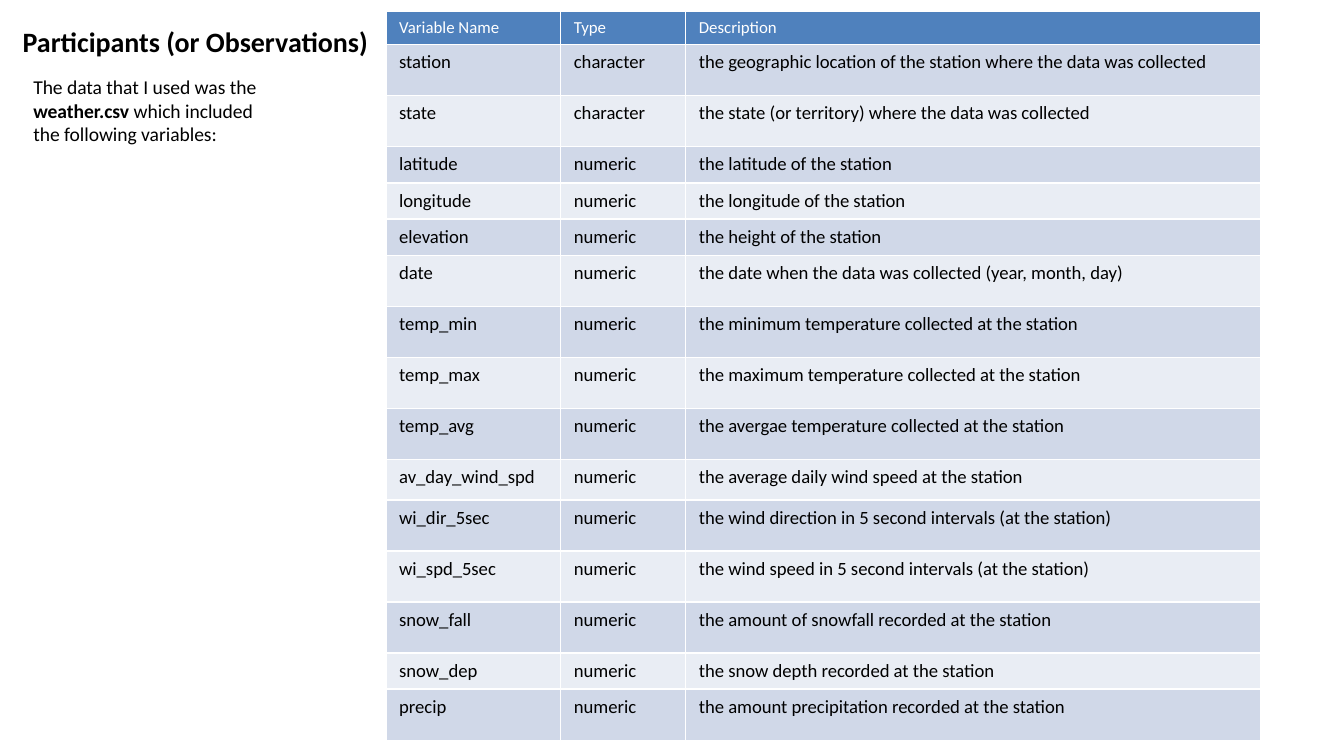
from dataclasses import dataclass

import pptx
import pptx.dml.color
import pptx.enum.text
import pptx.presentation
import pptx.slide
import pptx.table
import pptx.text.text
import pptx.util

Inches = pptx.util.Inches

COLORS = {
    "header": "4F81BD",
    "odd": "D0D8E8",
    "even": "E9EDF4",
    "light": "FFFFFF",
    "dark": "000000",
}
PAGE_WIDTH = Inches(10)
PAGE_HEIGHT = PAGE_WIDTH * 9 // 16
COLUMN_WIDTHS = (1.3, 0.93, 4.28)
HEADER_HEIGHT, TALL, MEDIUM, SHORT = 0.24, 0.38, 0.3, 0.27


@dataclass(frozen=True)
class Variable:
    name: str
    kind: str
    description: str
    height: float = TALL


@dataclass(frozen=True)
class TextBlock:
    left: float
    top: float
    width: float
    height: float
    size: float
    anchor: pptx.enum.text.MSO_ANCHOR
    spans: tuple[tuple[str, bool], ...]


HEADER = Variable("Variable Name", "Type", "Description", HEADER_HEIGHT)
VARIABLES = (
    Variable("station", "character", "the geographic location of the station where the data was collected"),
    Variable("state", "character", "the state (or territory) where the data was collected"),
    Variable("latitude", "numeric", "the latitude of the station", SHORT),
    Variable("longitude", "numeric", "the longitude of the station", SHORT),
    Variable("elevation", "numeric", "the height of the station", SHORT),
    Variable("date", "numeric", "the date when the data was collected (year, month, day)"),
    Variable("temp_min", "numeric", "the minimum temperature collected at the station"),
    Variable("temp_max", "numeric", "the maximum temperature collected at the station"),
    Variable("temp_avg", "numeric", "the avergae temperature collected at the station"),
    Variable("av_day_wind_spd", "numeric", "the average daily wind speed at the station", MEDIUM),
    Variable("wi_dir_5sec", "numeric", "the wind direction in 5 second intervals (at the station)"),
    Variable("wi_spd_5sec", "numeric", "the wind speed in 5 second intervals (at the station)"),
    Variable("snow_fall", "numeric", "the amount of snowfall recorded at the station"),
    Variable("snow_dep", "numeric", "the snow depth recorded at the station", SHORT),
    Variable("precip", "numeric", "the amount precipitation recorded at the station"),
)
TEXT_BLOCKS = (
    TextBlock(
        0.07, 0.08, 3.29, 0.4, 15, pptx.enum.text.MSO_ANCHOR.BOTTOM,
        (("Participants (or Observations)", True),),
    ),
    TextBlock(
        0.15, 0.51, 1.87, 0.78, 10.5, pptx.enum.text.MSO_ANCHOR.TOP,
        (
            ("The data that I used was the ", False),
            ("weather.csv", True),
            (" which included the following variables:", False),
        ),
    ),
)


def rgb(color: str) -> pptx.dml.color.RGBColor:
    return pptx.dml.color.RGBColor.from_string(COLORS[color])


def add_span(para: pptx.text.text._Paragraph, text: str, size: float, color: str, bold: bool) -> None:
    span = para.add_run()
    span.text = text
    font_format = {"name": "Calibri", "size": pptx.util.Pt(size), "bold": bold}
    for attribute, value in font_format.items():
        setattr(span.font, attribute, value)
    span.font.color.rgb = rgb(color)


def draw_text(page: pptx.slide.Slide, block: TextBlock) -> None:
    box = page.shapes.add_textbox(
        Inches(block.left), Inches(block.top), Inches(block.width), Inches(block.height)
    )
    frame_format = {"word_wrap": True, "vertical_anchor": block.anchor}
    for attribute, value in frame_format.items():
        setattr(box.text_frame, attribute, value)
    for text, bold in block.spans:
        add_span(box.text_frame.paragraphs[0], text, block.size, "dark", bold)


def draw_row(table: pptx.table.Table, index: int, variable: Variable) -> None:
    table.rows[index].height = Inches(variable.height)
    if index == 0:
        fill, color, size = "header", "light", 9
    else:
        fill, color, size = "odd" if index % 2 else "even", "dark", 10
    texts = (variable.name, variable.kind, variable.description)
    for cell, text in zip(table.rows[index].cells, texts):
        cell.fill.solid()
        cell.fill.fore_color.rgb = rgb(fill)
        add_span(cell.text_frame.paragraphs[0], text, size, color, False)


def draw_table(page: pptx.slide.Slide) -> None:
    rows = (HEADER, *VARIABLES)
    table = page.shapes.add_table(
        len(rows), len(COLUMN_WIDTHS), Inches(2.87), Inches(0.08),
        Inches(sum(COLUMN_WIDTHS)), Inches(sum(row.height for row in rows)),
    ).table
    for column, width in zip(table.columns, COLUMN_WIDTHS):
        column.width = Inches(width)
    for index, variable in enumerate(rows):
        draw_row(table, index, variable)


def main() -> None:
    deck = pptx.Presentation()
    deck.slide_width, deck.slide_height = PAGE_WIDTH, PAGE_HEIGHT
    page = deck.slides.add_slide(deck.slide_layouts[6])
    for block in TEXT_BLOCKS:
        draw_text(page, block)
    draw_table(page)
    deck.save("out.pptx")


if __name__ == "__main__":
    main()
